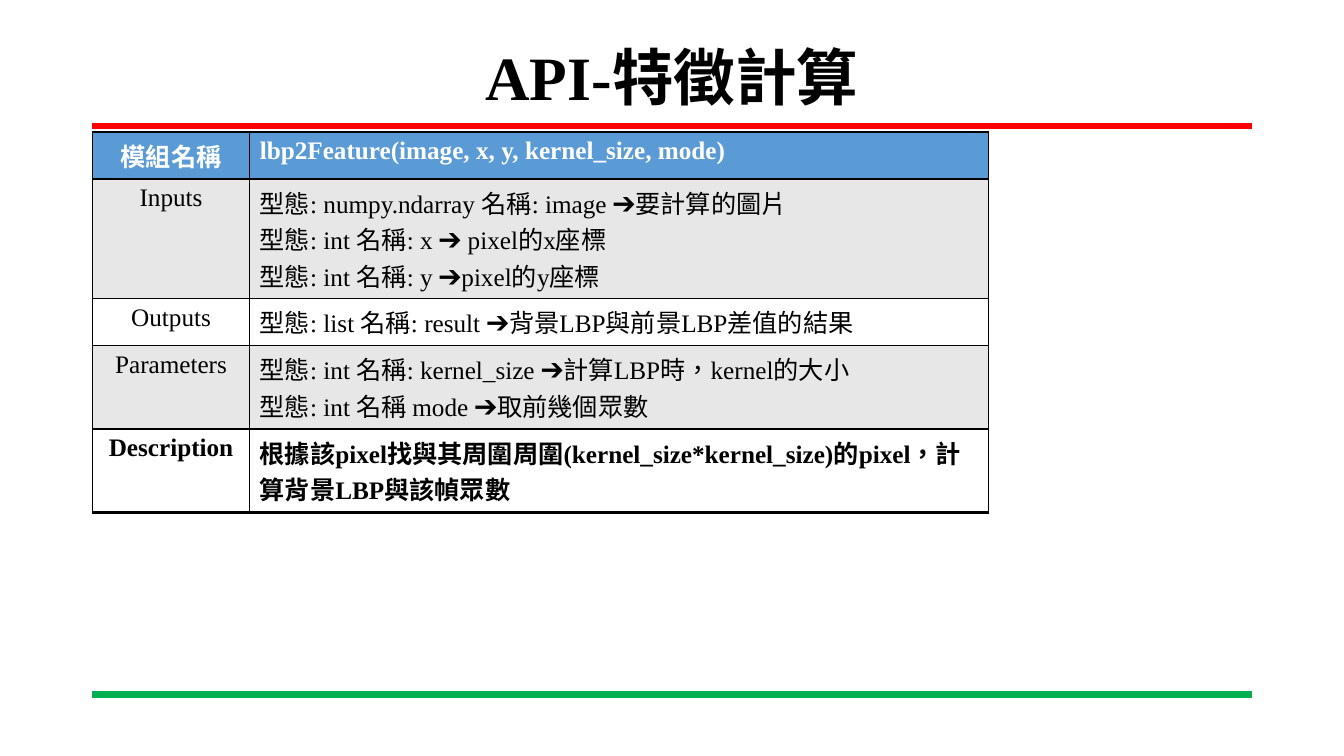
from dataclasses import dataclass

from lxml import etree
from pptx import Presentation
from pptx.dml.color import RGBColor
from pptx.enum.shapes import MSO_CONNECTOR
from pptx.enum.text import MSO_ANCHOR, PP_ALIGN
from pptx.oxml.ns import qn
from pptx.slide import Slide
from pptx.table import _Cell
from pptx.text.text import TextFrame
from pptx.util import Inches, Length, Pt

LEFT, CENTER = PP_ALIGN.LEFT, PP_ALIGN.CENTER
MIDDLE = MSO_ANCHOR.MIDDLE
STRAIGHT = MSO_CONNECTOR.STRAIGHT

WIDE, HIGH = Inches(13.333), Inches(7.5)
FONT, LANG = "Times New Roman", "zh-TW"
THIN, MID, THICK = 1, 1.5, 2.25
COLORS = {
    "red": "FF0000", "green": "00B050", "blue": "5B9BD5",
    "gray": "E7E7E7", "white": "FFFFFF", "black": "000000",
}

# Lengths in percent of the slide's width or height
EDGE, SPAN = 6.88, 86.25
COLS = (11.7, 54.98)
PAD, LINE = 1.4, 4.81


@dataclass
class Rule:
    y: float
    color: str


@dataclass
class Row:
    name: str
    lines: list[str]
    fill: str
    deep: int = 1
    ink: str = "black"
    bold: bool = False
    top: float = THIN
    base: float = THIN

    @property
    def height(self) -> float:
        return PAD + LINE * self.deep


RULES = [Rule(16.67, "red"), Rule(91.87, "green")]

ROWS = [
    Row("模組名稱", ["lbp2Feature(image, x, y, kernel_size, mode)"],
        "blue", ink="white", bold=True, top=THICK, base=MID),
    Row("Inputs", ["型態: numpy.ndarray 名稱: image ➔要計算的圖片",
                   "型態: int 名稱: x ➔ pixel的x座標",
                   "型態: int 名稱: y ➔pixel的y座標"],
        "gray", deep=3, top=MID),
    Row("Outputs", ["型態: list 名稱: result ➔背景LBP與前景LBP差值的結果"],
        "white"),
    Row("Parameters", ["型態: int 名稱: kernel_size ➔計算LBP時，kernel的大小",
                       "型態: int 名稱 mode ➔取前幾個眾數"], "gray", deep=2),
    Row("Description", ["根據該pixel找與其周圍周圍(kernel_size*kernel_size)的pixel，"
                        "計算背景LBP與該幀眾數"],
        "white", deep=2, bold=True, base=THICK),
]


def across(share: float) -> Length:
    return Length(round(WIDE * share / 100))


def down(share: float) -> Length:
    return Length(round(HIGH * share / 100))


def rgb(name: str) -> RGBColor:
    return RGBColor.from_string(COLORS[name])


def write(frame: TextFrame, lines: list[str], *, size: float = 18,
          ink: str = "black", bold: bool = False,
          align: PP_ALIGN = LEFT, lead: float | None = None) -> None:
    frame.word_wrap = True
    for i, line in enumerate(lines):
        para = frame.paragraphs[0] if i == 0 else frame.add_paragraph()
        para.alignment = align
        para.line_spacing = lead
        run = para.add_run()
        run.text = line
        run._r.get_or_add_rPr().set("lang", LANG)
        font = run.font
        font.name, font.size, font.bold = FONT, Pt(size), bold
        font.color.rgb = rgb(ink)


def draw_rule(slide: Slide, rule: Rule) -> None:
    y = down(rule.y)
    line = slide.shapes.add_connector(
        STRAIGHT, across(EDGE), y, across(EDGE + SPAN), y)
    line.line.color.rgb = rgb(rule.color)
    line.line.width = Pt(4.5)
    etree.SubElement(line._element.spPr, qn("a:effectLst"))


def style(cell: _Cell, row: Row) -> None:
    # Borders must come before the fill
    props = cell._tc.get_or_add_tcPr()
    sides = (("L", THIN), ("R", THIN), ("T", row.top), ("B", row.base))
    for side, width in sides:
        edge = etree.SubElement(props, qn(f"a:ln{side}"), w=str(Pt(width)))
        paint = etree.SubElement(edge, qn("a:solidFill"))
        etree.SubElement(paint, qn("a:srgbClr"), val=COLORS["black"])
    cell.fill.solid()
    cell.fill.fore_color.rgb = rgb(row.fill)


def draw_table(slide: Slide, rows: list[Row]) -> None:
    table = slide.shapes.add_table(
        len(rows), len(COLS), across(EDGE), down(17.47),
        across(sum(COLS)), down(sum(row.height for row in rows))).table
    for col, share in zip(table.columns, COLS):
        col.width = across(share)
    for i, row in enumerate(rows):
        table.rows[i].height = down(row.height)
        for j, (lines, align) in enumerate(
                (([row.name], CENTER), (row.lines, LEFT))):
            cell = table.cell(i, j)
            style(cell, row)
            write(cell.text_frame, lines, ink=row.ink, bold=row.bold,
                  align=align)


def main() -> None:
    deck = Presentation()
    deck.slide_width, deck.slide_height = WIDE, HIGH
    slide = deck.slides.add_slide(deck.slide_layouts[6])

    # Top and bottom rules
    for rule in RULES:
        draw_rule(slide, rule)

    # Title
    title = slide.shapes.add_textbox(
        across(EDGE), down(5.33), across(SPAN), down(10.53)).text_frame
    title.vertical_anchor = MIDDLE
    write(title, ["API-特徵計算"], size=44, bold=True, align=CENTER, lead=0.9)

    # Module table
    draw_table(slide, ROWS)
    deck.save("out.pptx")


if __name__ == "__main__":
    main()
